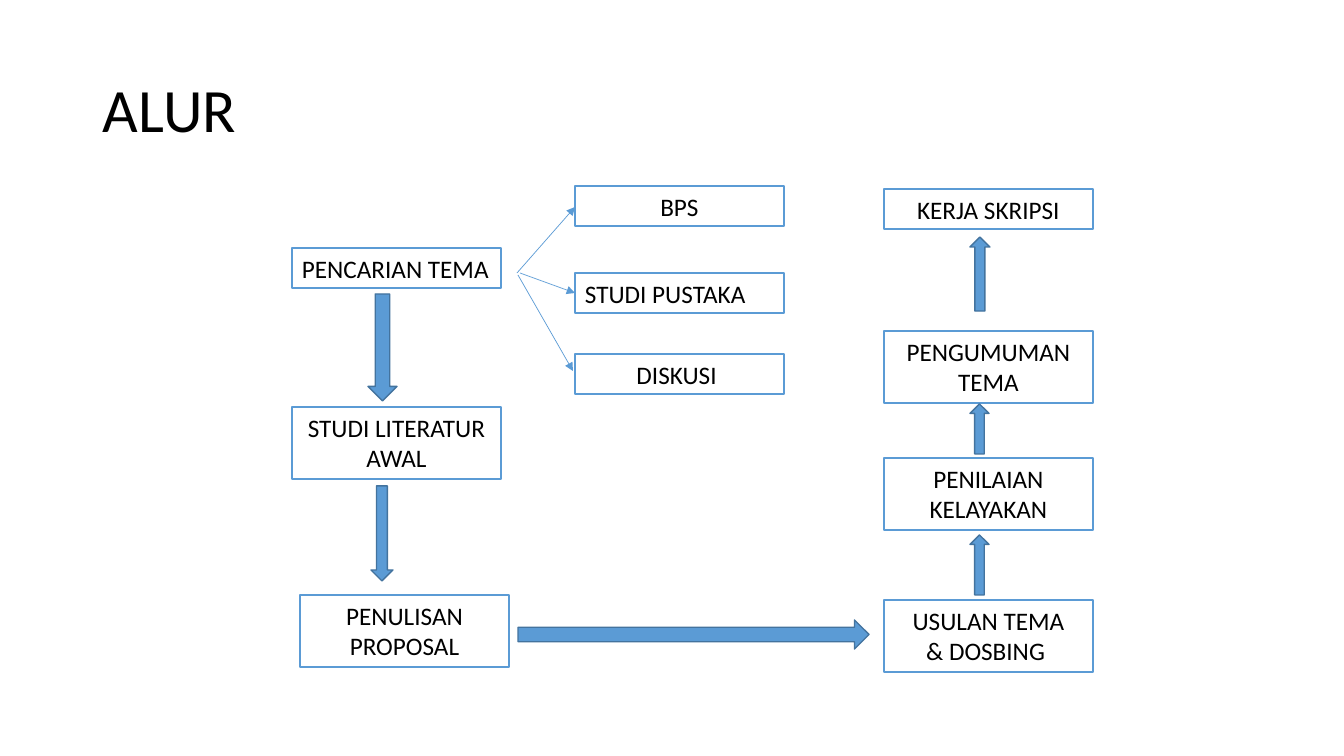
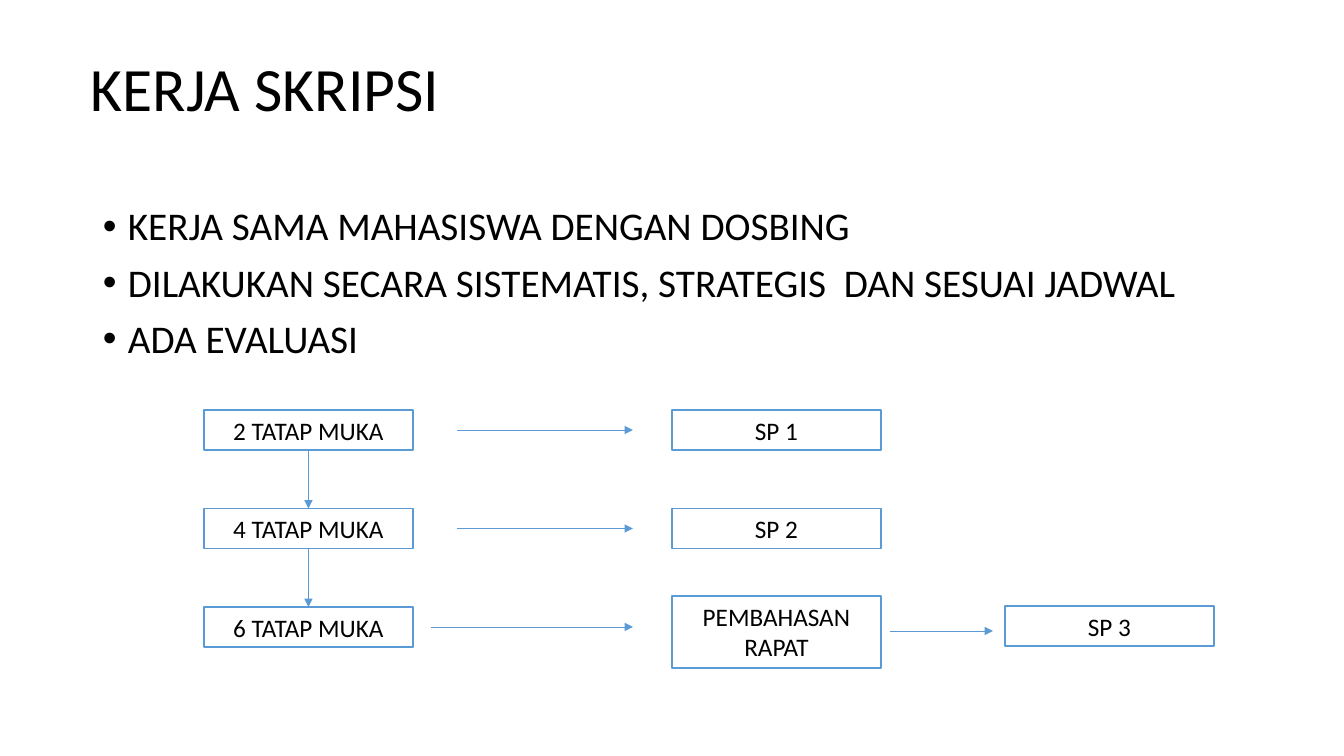
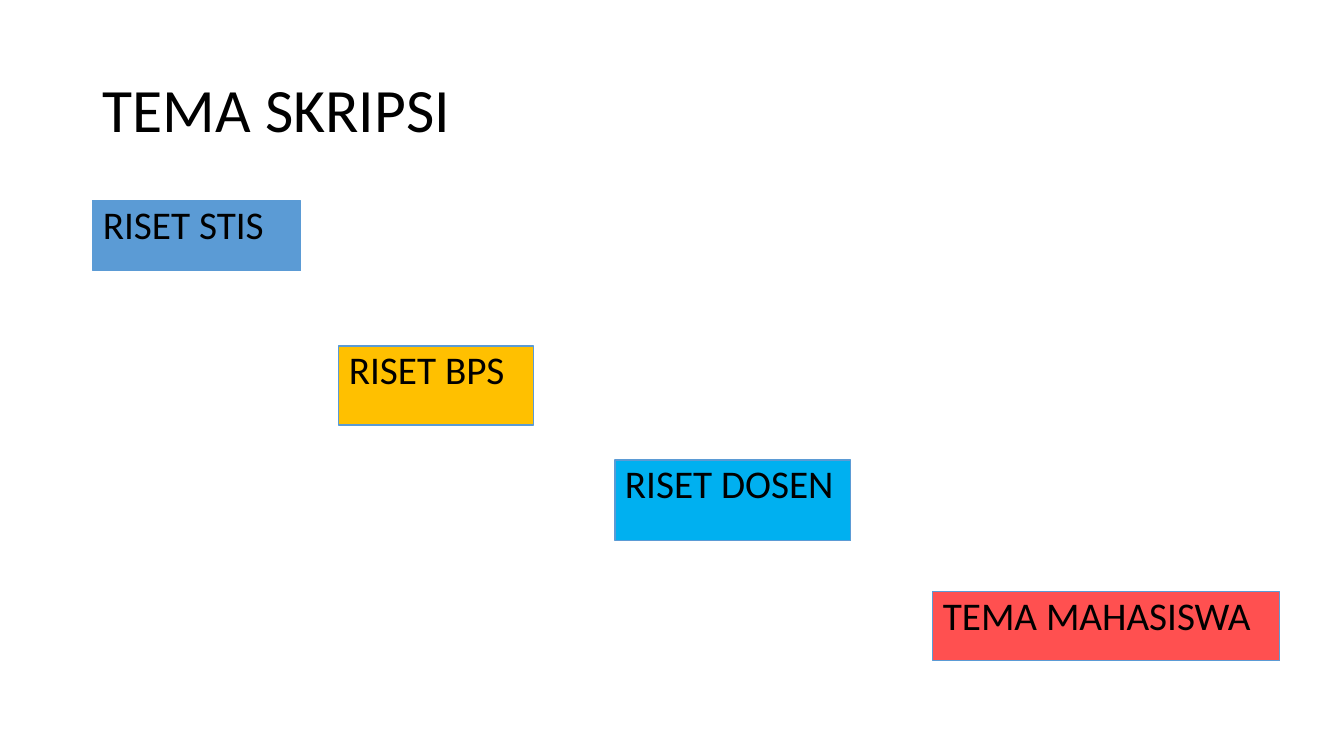
"""Build three slides on the thesis workflow, supervision meetings and themes."""
from itertools import pairwise

from lxml.etree import SubElement
from pptx import Presentation
from pptx.dml.color import RGBColor
from pptx.enum.shapes import MSO_CONNECTOR, MSO_SHAPE
from pptx.enum.text import MSO_ANCHOR, MSO_AUTO_SIZE, PP_ALIGN
from pptx.oxml.ns import qn
from pptx.util import Emu, Pt

SLIDE_WIDTH, SLIDE_HEIGHT = 1344, 756
SCALE = 12192000 / SLIDE_WIDTH

BLACK = RGBColor(0x00, 0x00, 0x00)
BLUE = RGBColor(0x5B, 0x9B, 0xD5)
DARK_BLUE = RGBColor(0x43, 0x73, 0x9E)
AMBER = RGBColor(0xFF, 0xC0, 0x00)
SKY = RGBColor(0x00, 0xB0, 0xF0)
RED = RGBColor(0xFF, 0x50, 0x50)

FONT = "Calibri"
TITLE_SIZE, BODY_SIZE, STEP_SIZE = 44, 28, 18
TITLE_WIDTH, TITLE_HEIGHT = 1159, 146
STEP_WIDTH, ONE_LINE, TWO_LINES = 209, 40, 72
BULLET_INDENT = 25

TITLE_FRAME = {"word_wrap": True, "vertical_anchor": MSO_ANCHOR.MIDDLE}
BODY_FRAME = {"word_wrap": True, "vertical_anchor": MSO_ANCHOR.TOP}
STEP_FRAME = {**BODY_FRAME, "auto_size": MSO_AUTO_SIZE.SHAPE_TO_FIT_TEXT}
TITLE_PARAGRAPH = {"alignment": PP_ALIGN.LEFT, "line_spacing": 0.9}
BODY_PARAGRAPH = {**TITLE_PARAGRAPH, "space_before": Pt(10)}
CENTRED = {"alignment": PP_ALIGN.CENTER}
LEFT = {"alignment": PP_ALIGN.LEFT}

FLOW_TITLE = ("ALUR", 93, 40)
FLOW_STEPS = [
    (["PENCARIAN TEMA"], 292, 248, ONE_LINE, LEFT),
    (["STUDI LITERATUR AWAL"], 292, 407, TWO_LINES, CENTRED),
    (["BPS"], 575, 186, ONE_LINE, CENTRED),
    (["STUDI PUSTAKA"], 575, 273, ONE_LINE, LEFT),
    (["DISKUSI "], 575, 354, ONE_LINE, CENTRED),
    (["PENULISAN PROPOSAL"], 300, 595, TWO_LINES, CENTRED),
    (["USULAN TEMA", "& DOSBING "], 884, 600, TWO_LINES, CENTRED),
    (["PENILAIAN KELAYAKAN"], 884, 458, TWO_LINES, CENTRED),
    (["PENGUMUMAN TEMA"], 884, 331, TWO_LINES, CENTRED),
    (["KERJA SKRIPSI"], 884, 189, ONE_LINE, CENTRED),
]
THEME_SOURCES = [
    ((517, 273), (575, 207)),
    ((520, 273), (575, 293)),
    ((518, 275), (573, 371)),
]
FLOW_ARROWS = [
    (MSO_SHAPE.DOWN_ARROW, (368, 294, 29, 107)),
    (MSO_SHAPE.DOWN_ARROW, (371, 486, 22, 95)),
    (MSO_SHAPE.RIGHT_ARROW, (518, 620, 351, 29)),
    (MSO_SHAPE.UP_ARROW, (970, 535, 19, 60)),
    (MSO_SHAPE.UP_ARROW, (970, 404, 19, 50)),
    (MSO_SHAPE.UP_ARROW, (970, 237, 20, 74)),
]

WORK_TITLE = ("KERJA SKRIPSI", 81, 19)
WORK_POINTS = [
    "KERJA SAMA MAHASISWA DENGAN DOSBING",
    "DILAKUKAN SECARA SISTEMATIS, STRATEGIS  DAN SESUAI JADWAL ",
    "ADA EVALUASI",
]
WORK_POINTS_BOX = (93, 202, 1159, 194)
MEETINGS = [
    ("2 TATAP MUKA", "SP 1", ONE_LINE, 457),
    ("4 TATAP MUKA", "SP 2", ONE_LINE, 457),
    ("6 TATAP MUKA", "PEMBAHASAN RAPAT", TWO_LINES, 431),
]
MEETING_LEFT, OUTCOME_LEFT, ARROW_END = 204, 672, 633
FIRST_ROW, ROW_PITCH = 430, 98.5
FINAL_OUTCOME = ("SP 3", 1005, 606)
FINAL_ARROW = ((890, 631), (993, 631))

THEME_TITLE = ("TEMA SKRIPSI", 93, 40)
THEMES = [
    ("RISET STIS", (93, 201, 208, 70), BLUE),
    ("RISET BPS", (339, 346, 195, 79), AMBER),
    ("RISET DOSEN", (615, 460, 236, 81), SKY),
    ("TEMA MAHASISWA", (933, 592, 347, 69), RED),
]


def px(*lengths):
    return [Emu(round(length * SCALE)) for length in lengths]


def apply(target, formats):
    for name, value in formats.items():
        setattr(target, name, value)


def write(shape, lines, size, frame_format, paragraph_format):
    frame = shape.text_frame
    apply(frame, frame_format)
    frame.text = "\n".join(lines)
    for paragraph in frame.paragraphs:
        apply(paragraph, paragraph_format)
        for run in paragraph.runs:
            apply(run.font, {"name": FONT, "size": Pt(size)})
            run.font.color.rgb = BLACK


def add_bullets(shape):
    indent, = px(BULLET_INDENT)
    for paragraph in shape.text_frame.paragraphs:
        properties = paragraph._p.get_or_add_pPr()
        properties.set("marL", str(indent))
        properties.set("indent", str(-indent))
        SubElement(properties, qn("a:buFont"), typeface="Arial")
        SubElement(properties, qn("a:buChar"), char="•")


def add_outlined(slide, kind, area, fill, line, width):
    shape = slide.shapes.add_shape(kind, *px(*area))
    shape.shadow.inherit = False
    if fill is None:
        shape.fill.background()
    else:
        shape.fill.solid()
        shape.fill.fore_color.rgb = fill
    shape.line.color.rgb = line
    shape.line.width = Pt(width)
    return shape


def add_step(slide, lines, left, top, height=ONE_LINE, paragraph_format=CENTRED):
    area = (left, top, STEP_WIDTH, height)
    step = add_outlined(slide, MSO_SHAPE.RECTANGLE, area, None, BLUE, 1.25)
    write(step, lines, STEP_SIZE, STEP_FRAME, paragraph_format)
    return step


def add_thin_arrow(slide, start, end):
    arrow = slide.shapes.add_connector(MSO_CONNECTOR.STRAIGHT, *px(*start, *end))
    arrow.line.color.rgb = BLUE
    arrow.line.width = Pt(0.5)
    SubElement(arrow.line._get_or_add_ln(), qn("a:tailEnd"), type="triangle")
    SubElement(arrow._element.spPr, qn("a:effectLst"))
    return arrow


def add_titled_slide(deck, title, left, top):
    slide = deck.slides.add_slide(deck.slide_layouts[6])
    heading = slide.shapes.add_textbox(*px(left, top, TITLE_WIDTH, TITLE_HEIGHT))
    write(heading, [title], TITLE_SIZE, TITLE_FRAME, TITLE_PARAGRAPH)
    return slide


def build_flow(deck):
    slide = add_titled_slide(deck, *FLOW_TITLE)
    for step in FLOW_STEPS:
        add_step(slide, *step)
    for start, end in THEME_SOURCES:
        add_thin_arrow(slide, start, end)
    for direction, area in FLOW_ARROWS:
        add_outlined(slide, direction, area, BLUE, DARK_BLUE, 1)


def build_work(deck):
    slide = add_titled_slide(deck, *WORK_TITLE)
    points = slide.shapes.add_textbox(*px(*WORK_POINTS_BOX))
    write(points, WORK_POINTS, BODY_SIZE, BODY_FRAME, BODY_PARAGRAPH)
    add_bullets(points)
    meetings = []
    for row, (meeting, outcome, height, arrow_start) in enumerate(MEETINGS):
        middle = FIRST_ROW + row * ROW_PITCH
        outcome_top = middle - height / 2 + (height - ONE_LINE) / 6
        meetings.append(add_step(slide, [meeting], MEETING_LEFT, middle - ONE_LINE / 2))
        add_step(slide, [outcome], OUTCOME_LEFT, outcome_top, height)
        add_thin_arrow(slide, (arrow_start, middle), (ARROW_END, middle))
    for earlier, later in pairwise(meetings):
        arrow = add_thin_arrow(slide, (0, 0), (0, 0))
        arrow.begin_connect(earlier, 2)
        arrow.end_connect(later, 0)
    outcome, left, top = FINAL_OUTCOME
    add_step(slide, [outcome], left, top)
    add_thin_arrow(slide, *FINAL_ARROW)


def build_themes(deck):
    slide = add_titled_slide(deck, *THEME_TITLE)
    for theme, area, color in THEMES:
        card = add_outlined(slide, MSO_SHAPE.RECTANGLE, area, color, BLUE, 0.75)
        write(card, [theme], BODY_SIZE, BODY_FRAME, BODY_PARAGRAPH)


deck = Presentation()
deck.slide_width, deck.slide_height = px(SLIDE_WIDTH, SLIDE_HEIGHT)
for build in (build_flow, build_work, build_themes):
    build(deck)
deck.save("out.pptx")
